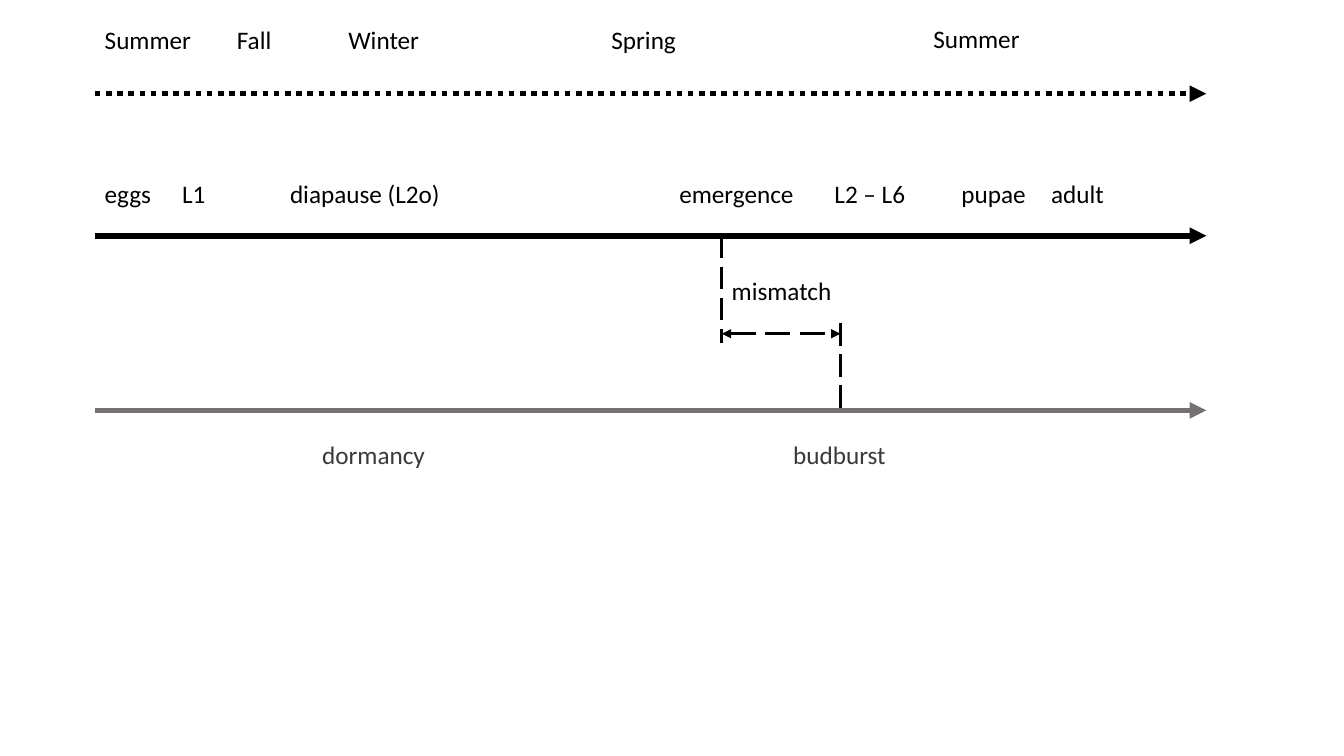
"""Draw a timeline of insect stages against host bud phenology."""
from lxml.etree import SubElement as Sub
from pptx import Presentation
from pptx.dml.color import RGBColor
from pptx.enum.dml import MSO_LINE as Dash
from pptx.enum.shapes import MSO_CONNECTOR as Conn
from pptx.enum.text import MSO_AUTO_SIZE as Fit
from pptx.oxml.ns import qn
from pptx.util import Cm, Pt

BLACK = RGBColor(0x00, 0x00, 0x00)
GREY = RGBColor(0x76, 0x71, 0x71)
DARK = RGBColor(0x3B, 0x38, 0x38)

LEFT, RIGHT = 2.39, 30.4
TIME, INSECT, TREE = 2.36, 5.94, 10.34
HATCH, BUD, GAP = 18.19, 21.18, 8.41

SEASONS = [("Summer", 2.39, 0.48, 3.53), ("Fall", 5.72, 0.48, 1.75),
           ("Winter", 8.53, 0.48, 3.53), ("Spring", 15.16, 0.48, 3.53),
           ("Summer", 23.27, 0.46, 3.53)]
STAGES = [("eggs", 2.39, 3.53), ("L1", 4.34, 3.53),
          ("diapause (L2o)", 7.06, 4.65), ("emergence", 16.87, 4.65),
          ("L2 – L6", 20.78, 2.49), ("pupae", 23.98, 2.21),
          ("adult", 26.24, 2.21)]
BUDS = [("dormancy", 7.87), ("budburst", 19.74)]


def add_line(slide, start, end, width, color=BLACK, dash=None, ends=()):
    """Add a straight line with optional dashes and arrowheads."""
    line = slide.shapes.add_connector(
        Conn.STRAIGHT, *(Cm(n) for n in (*start, *end)))
    line.line.width = Pt(width)
    line.line.color.rgb = color
    if dash is not None:
        line.line.dash_style = dash
    props = line._element.spPr
    for name in ends:
        Sub(props.find(qn("a:ln")), qn(f"a:{name}"), type="triangle")
    Sub(props, qn("a:effectLst"))


def add_label(slide, text, left, top, width, color=BLACK):
    """Add a one-line label."""
    box = slide.shapes.add_textbox(Cm(left), Cm(top), Cm(width), Cm(1.02))
    frame = box.text_frame
    frame.word_wrap = True
    frame.auto_size = Fit.SHAPE_TO_FIT_TEXT
    run = frame.paragraphs[0].add_run()
    run.text = text
    run.font.name = "Calibri"
    run.font.size = Pt(18)
    run.font.color.rgb = color


def add_axis(slide, top, color=BLACK, dash=None):
    """Add a timeline that points right."""
    add_line(slide, (LEFT, top), (RIGHT, top), 4, color, dash, ["tailEnd"])


def main():
    """Build and save the slide."""
    deck = Presentation()
    deck.slide_width, deck.slide_height = Cm(33.87), Cm(19.05)
    slide = deck.slides.add_slide(deck.slide_layouts[6])

    add_axis(slide, TIME, dash=Dash.ROUND_DOT)
    add_axis(slide, INSECT)
    add_axis(slide, TREE, GREY)

    for season in SEASONS:
        add_label(slide, *season)
    for text, left, width in STAGES:
        add_label(slide, text, left, 4.37, width)
    for text, left in BUDS:
        add_label(slide, text, left, 10.95, 3.53, DARK)

    long = Dash.LONG_DASH
    add_line(slide, (HATCH, INSECT), (HATCH, 8.64), 2, dash=long)
    add_line(slide, (BUD, 8.15), (BUD, TREE), 2, dash=long)
    add_line(slide, (HATCH, GAP), (BUD, GAP), 2.25, dash=long,
             ends=["headEnd", "tailEnd"])
    add_label(slide, "mismatch", HATCH, 6.81, 4.65)

    deck.save("out.pptx")


if __name__ == "__main__":
    main()
